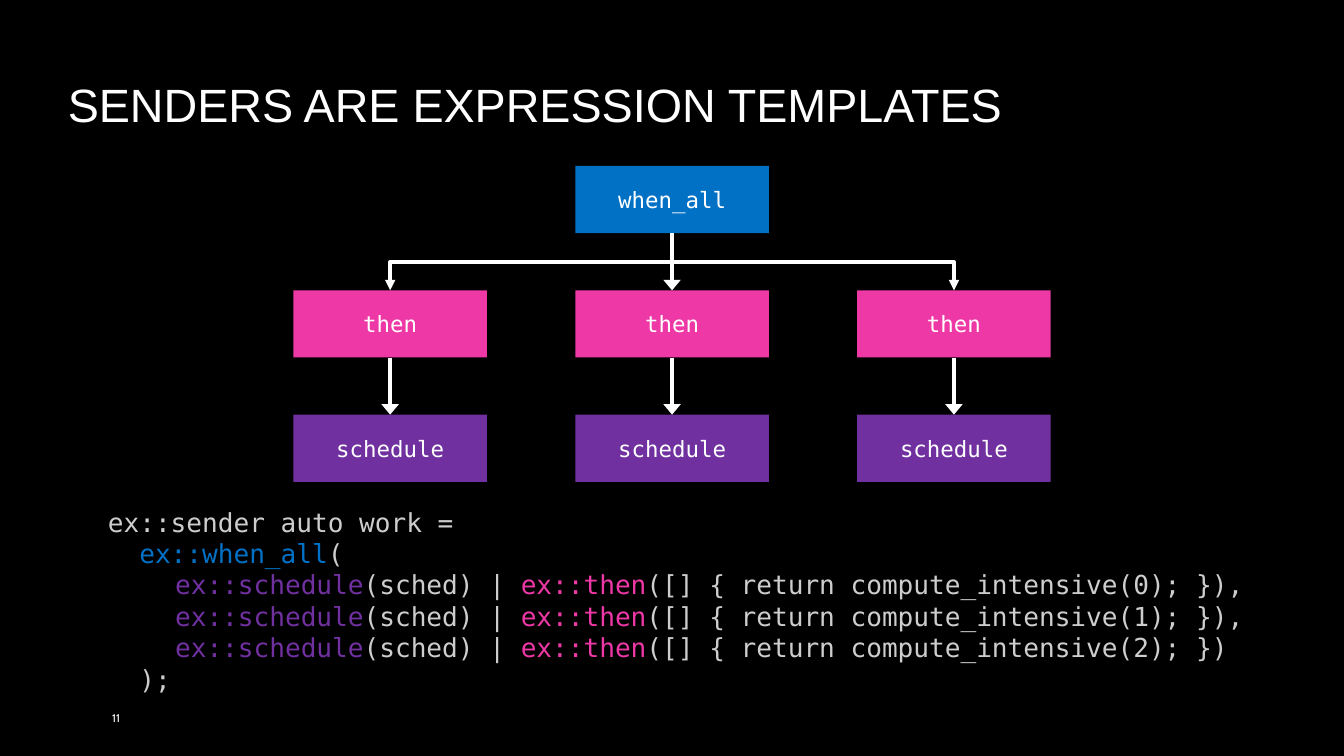
import pptx
import pptx.dml.color
import pptx.enum.shapes
import pptx.enum.text
import pptx.oxml.ns
import pptx.util
from lxml import etree

COLORS = {
    "black": "000000",
    "white": "FFFFFF",
    "code": "CDCDCD",
    "when_all": "0071C5",
    "then": "EE38A6",
    "schedule": "7030A0",
}
MONO = "DejaVu Sans Mono"
SHAPES = pptx.enum.shapes.MSO_SHAPE
LINES = pptx.enum.shapes.MSO_CONNECTOR
ANCHORS = pptx.enum.text.MSO_ANCHOR
ALIGNMENTS = pptx.enum.text.PP_ALIGN
WIDTH = pptx.util.Inches(20)
HEIGHT = pptx.util.Inches(11.25)
COLUMN = WIDTH / 100
ROW = HEIGHT / 100
NODE_WIDTH = 14.4 * COLUMN
NODE_HEIGHT = 8.89 * ROW


def grid_box(left, top, width, height):
    return left * COLUMN, top * ROW, width * COLUMN, height * ROW


def color(name):
    return pptx.dml.color.RGBColor.from_string(COLORS[name])


def style(font, size, face, tint):
    font.size = pptx.util.Pt(size)
    font.name = face
    font.color.rgb = color(tint)


def add_label(page, box, text, size, face, anchor):
    label = page.shapes.add_textbox(*map(round, box))
    frame = label.text_frame
    frame.word_wrap = True
    frame.vertical_anchor = anchor
    frame.text = text
    style(frame.paragraphs[0].runs[0].font, size, face, "white")
    return frame.paragraphs[0]


def add_panel(page, box, fill):
    panel = page.shapes.add_shape(SHAPES.RECTANGLE, *map(round, box))
    panel.shadow.inherit = False
    panel.fill.solid()
    panel.fill.fore_color.rgb = color(fill)
    panel.line.fill.background()
    panel.text_frame.word_wrap = True
    return panel


def add_node(page, center, top, name):
    box = (center - NODE_WIDTH / 2, top, NODE_WIDTH, NODE_HEIGHT)
    frame = add_panel(page, box, name).text_frame
    frame.vertical_anchor = ANCHORS.MIDDLE
    frame.text = name
    para = frame.paragraphs[0]
    para.alignment = ALIGNMENTS.CENTER
    style(para.runs[0].font, 24, MONO, "white")


def add_arrow(page, kind, start, end, head_width="lg"):
    arrow = page.shapes.add_connector(kind, *map(round, start + end))
    arrow.line.color.rgb = color("white")
    arrow.line.width = pptx.util.Pt(3.75)
    line = arrow.line._get_or_add_ln()
    etree.SubElement(line, pptx.oxml.ns.qn("a:tailEnd"), type="triangle", w=head_width)
    properties = arrow._element.spPr
    etree.SubElement(properties, pptx.oxml.ns.qn("a:effectLst"))
    return arrow


def add_branch(page, start, end):
    middle_x = (start[0] + end[0]) / 2
    middle_y = (start[1] + end[1]) / 2
    drop = (end[1] - start[1]) / 2
    reach = abs(end[0] - start[0]) / 2
    to_right = end[0] > start[0]
    side = -1 if to_right else 1
    branch = add_arrow(
        page, LINES.ELBOW,
        (middle_x - side * drop, middle_y - reach),
        (middle_x + side * drop, middle_y + reach),
        "med",
    )
    degrees = 270 if to_right else 90
    frame = branch._element.spPr.find(pptx.oxml.ns.qn("a:xfrm"))
    frame.set("rot", str(degrees * 60000))


def add_tree(page, box):
    left, top, width, height = box
    column_step = (width - NODE_WIDTH) / 2
    row_step = (height - NODE_HEIGHT) / 2
    centers = [left + NODE_WIDTH / 2 + i * column_step for i in range(3)]
    tops = [top + i * row_step for i in range(3)]
    root = (centers[1], tops[0] + NODE_HEIGHT)
    add_node(page, centers[1], tops[0], "when_all")
    for center in centers:
        add_node(page, center, tops[1], "then")
        add_node(page, center, tops[2], "schedule")
        add_arrow(page, LINES.STRAIGHT, (center, tops[1] + NODE_HEIGHT), (center, tops[2]))
        if center == centers[1]:
            add_arrow(page, LINES.STRAIGHT, root, (center, tops[1]))
        else:
            add_branch(page, root, (center, tops[1]))


def task_line(number, ending):
    return [
        ("\t  ", "code"),
        ("ex::schedule", "schedule"),
        ("(sched) | ", "code"),
        ("ex::then", "then"),
        (f"([] {{ return compute_intensive({number}); }}){ending}", "code"),
    ]


def add_code(page, box):
    lines = [
        [("  ex::sender auto work =", "code")],
        [("    ", "code"), ("ex::when_all", "when_all"), ("(", "code")],
        *[task_line(number, ending) for number, ending in enumerate([",", ",", ""])],
        [("    );", "code")],
    ]
    frame = add_panel(page, box, "black").text_frame
    frame.vertical_anchor = ANCHORS.TOP
    for index, line in enumerate(lines):
        para = frame.add_paragraph() if index else frame.paragraphs[0]
        para.alignment = ALIGNMENTS.LEFT
        properties = para._p.get_or_add_pPr()
        properties.set("marL", str(pptx.util.Inches(0.1)))
        properties.set("indent", "0")
        properties.set("defTabSz", str(pptx.util.Inches(1)))
        for text, tint in line:
            span = para.add_run()
            span.text = text
            style(span.font, 28, MONO, tint)


def add_title(page, box):
    para = add_label(page, box, "SENDERS ARE EXPRESSION TEMPLATES", 50, "Arial", ANCHORS.BOTTOM)
    para.line_spacing = 0.9


def add_page_number(page, box):
    add_label(page, box, "11", 12, "Cabin", ANCHORS.MIDDLE)


def main():
    deck = pptx.Presentation()
    deck.slide_width = WIDTH
    deck.slide_height = HEIGHT
    page = deck.slides.add_slide(deck.slide_layouts[6])
    page.background.fill.solid()
    page.background.fill.fore_color.rgb = color("black")
    add_title(page, grid_box(4.55, 8.44, 90.9, 9.6))
    add_code(page, grid_box(4.7, 66.49, 90.75, 29.33))
    add_tree(page, grid_box(21.83, 21.96, 56.35, 41.78))
    add_page_number(page, grid_box(7.85, 92.27, 22.5, 5.33))
    deck.save("out.pptx")


if __name__ == "__main__":
    main()
